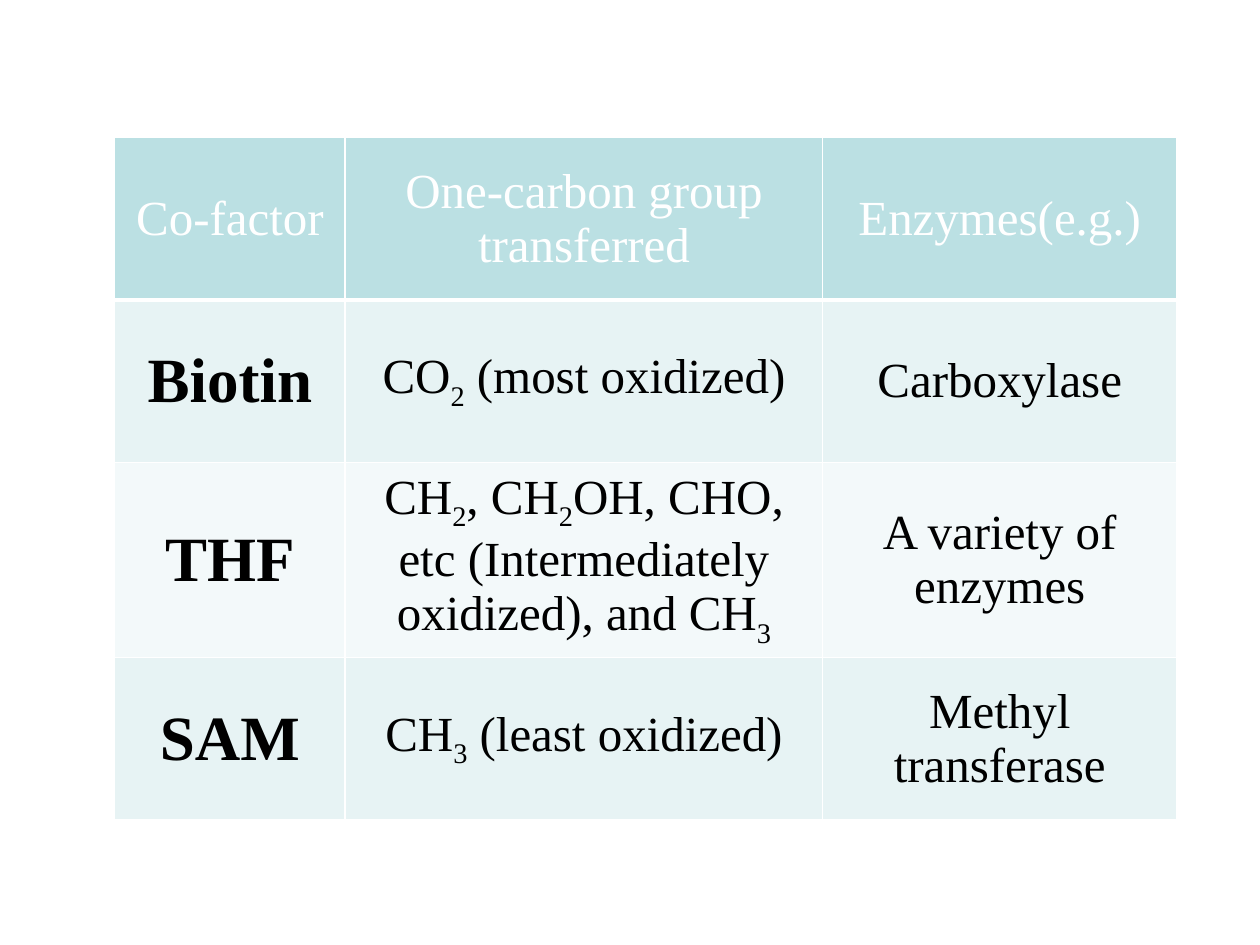
from lxml.etree import SubElement
from pptx import Presentation
from pptx.dml.color import RGBColor
from pptx.enum.text import MSO_ANCHOR, PP_ALIGN
from pptx.oxml.ns import qn
from pptx.util import Inches, Pt

WHITE = RGBColor(0xFF, 0xFF, 0xFF)
BLACK = RGBColor(0x00, 0x00, 0x00)
TEAL = RGBColor(0xBB, 0xE0, 0xE3)
LIGHT_TEAL = RGBColor(0xE7, 0xF3, 0xF4)
PALE_TEAL = RGBColor(0xF3, 0xF9, 0xFA)

COFACTORS = [
    ["Co-factor", "One-carbon group transferred", "Enzymes(e.g.)"],
    ["Biotin", "CO_2_ (most oxidized)", "Carboxylase"],
    ["THF", "CH_2_, CH_2_OH, CHO, etc (Intermediately oxidized), and CH_3",
     "A variety of enzymes"],
    ["SAM", "CH_3_ (least oxidized)", "Methyl transferase"],
]
COLUMN_WIDTHS = [1.83, 3.79, 2.81]
ROW_HEIGHTS = [1.29, 1.29, 1.55, 1.29]
ROW_FILLS = [TEAL, LIGHT_TEAL, PALE_TEAL, LIGHT_TEAL]


def add_border(cell, side, width):
    line = SubElement(cell._tc.get_or_add_tcPr(), qn(f"a:ln{side}"), w=str(Pt(width)))
    fill = SubElement(line, qn("a:solidFill"))
    SubElement(fill, qn("a:srgbClr"), val=str(WHITE))


prs = Presentation()
prs.slide_width = Inches(10)
prs.slide_height = Inches(7.5)
slide = prs.slides.add_slide(prs.slide_layouts[6])

cofactor_table = slide.shapes.add_table(
    len(ROW_HEIGHTS), len(COLUMN_WIDTHS), Inches(0.91), Inches(1.09),
    Inches(sum(COLUMN_WIDTHS)), Inches(sum(ROW_HEIGHTS))).table
for column, width in zip(cofactor_table.columns, COLUMN_WIDTHS):
    column.width = Inches(width)
for row, height in zip(cofactor_table.rows, ROW_HEIGHTS):
    row.height = Inches(height)

for r, row_texts in enumerate(COFACTORS):
    for c, text in enumerate(row_texts):
        cell = cofactor_table.cell(r, c)
        is_cofactor = r > 0 and c == 0
        for side in "LRTB":
            header_edge = (r == 0 and side == "B") or (r == 1 and side == "T")
            add_border(cell, side, 3 if header_edge else 1)
        cell.fill.solid()
        cell.fill.fore_color.rgb = ROW_FILLS[r]
        cell.vertical_anchor = MSO_ANCHOR.MIDDLE
        paragraph = cell.text_frame.paragraphs[0]
        paragraph.alignment = PP_ALIGN.CENTER
        for i, part in enumerate(text.split("_")):
            run = paragraph.add_run()
            run.text = part
            run.font.name = "Times New Roman"
            run.font.size = Pt(36 if is_cofactor else 28)
            run.font.bold = is_cofactor
            run.font.color.rgb = WHITE if r == 0 else BLACK
            if i % 2:
                run.font._element.set("baseline", "-25000")

prs.save("out.pptx")
